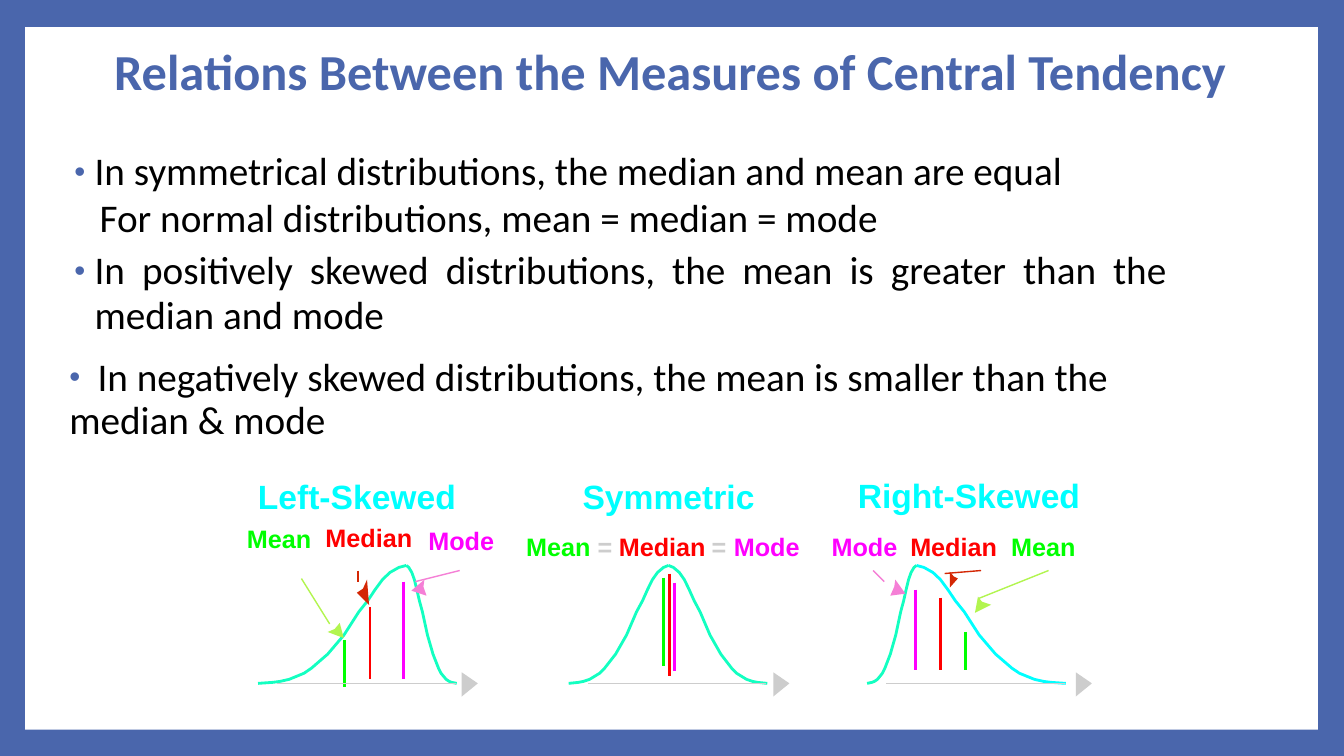
from lxml.etree import SubElement
from pptx import Presentation
from pptx.dml.color import RGBColor
from pptx.enum.shapes import MSO_CONNECTOR, MSO_SHAPE
from pptx.enum.text import MSO_ANCHOR, PP_ALIGN
from pptx.oxml.ns import qn
from pptx.util import Inches, Pt

BLUE, CYAN, TEAL, GREY = "4A66AC", "00FFFF", "13FFC1", "CDCDCD"
BAR = {"Mean": "00FF00", "Median": "FF0000", "Mode": "FF00FF", "=": GREY}
POINTER = {"Mean": "B2F54F", "Median": "D42704", "Mode": "F57FD6"}
LABEL_WIDTH = {"Mean": 0.84, "Median": 1.07, "Mode": 0.86, "=": 0.42}
CURVE_HEIGHT, BASELINE = 1.17, 2.11

# Half a bell: share of the way from foot to peak, height above the baseline
BELL = [(0, 0), (0.1, 0.01), (0.15, 0.02), (0.21, 0.04), (0.26, 0.07),
        (0.31, 0.1), (0.36, 0.15), (0.47, 0.29), (0.58, 0.48), (0.68, 0.71),
        (0.74, 0.82), (0.79, 0.93), (0.84, 1.03), (0.89, 1.1), (0.95, 1.15),
        (1, CURVE_HEIGHT)]

# Offsets are from the left foot of the curve and the top of the heading.
# labels: name, x, y; bars: name, x, top, bottom; pointers: name, line, head
PANELS = [
    dict(left=2.56, heading=("Left-Skewed", -0.1, 0, 2.18), peak=1.47,
         right_color=TEAL, axis_head=2.02,
         labels=[("Mean", -0.21, 0.47), ("Median", 0.57, 0.46), ("Mode", 1.59, 0.49)],
         bars=[("Mode", 1.44, 1.1, 2.07), ("Median", 1.11, 1.35, 2.07),
               ("Mean", 0.86, 1.68, 2.15)],
         pointers=[
             ("Mean", (0.43, 1.07, 0.71, 1.52),
              [(0.81, 1.51), (0.85, 1.66), (0.69, 1.6), (0.76, 1.57)]),
             ("Median", (0.99, 0.99, 0.99, 1.1),
              [(1.08, 1.08), (1.1, 1.33), (0.98, 1.21), (1.04, 1.17)]),
             ("Mode", (2, 0.99, 1.56, 1.1),
              [(1.67, 1.24), (1.52, 1.19), (1.65, 1.08), (1.64, 1.15)])]),
    dict(left=5.64, heading=("Symmetric", 0.04, 0, 1.92), peak=0.99,
         right_color=TEAL, axis_head=2.03,
         labels=[("Mean", -0.52, 0.55), ("=", 0.19, 0.55), ("Median", 0.4, 0.55),
                 ("=", 1.32, 0.55), ("Mode", 1.54, 0.55)],
         bars=[("Median", 1, 1.02, 2.04), ("Mean", 0.94, 1.06, 1.94),
               ("Mode", 1.05, 1.11, 1.99)],
         pointers=[]),
    dict(left=8.6, heading=("Right-Skewed", -0.19, -0.01, 2.42), peak=0.49,
         right_color=CYAN, axis_head=2.07,
         labels=[("Mode", -0.45, 0.55), ("Median", 0.33, 0.55), ("Mean", 1.33, 0.55)],
         bars=[("Mode", 0.48, 1.18, 1.98), ("Median", 0.73, 1.26, 1.98),
               ("Mean", 0.98, 1.6, 1.98)],
         pointers=[
             ("Mean", (1.8, 0.99, 1.1, 1.27),
              [(1.23, 1.33), (1.07, 1.41), (1.1, 1.25), (1.14, 1.3)]),
             ("Median", (1.13, 0.99, 0.77, 1.02),
              [(0.9, 1.07), (0.82, 1.16), (0.82, 1), (0.86, 1.05)]),
             ("Mode", (0.06, 0.99, 0.17, 1.1),
              [(0.28, 1.08), (0.38, 1.22), (0.23, 1.24), (0.27, 1.15)])]),
]


def rgb(color):
    return RGBColor.from_string(color)


def set_font(p, name, size, color, bold=False):
    for r in p.runs:
        r.font.name, r.font.size, r.font.bold = name, Pt(size), bold
        r.font.color.rgb = rgb(color)


def add_text(s, x, y, w, h, wrap=True):
    tf = s.shapes.add_textbox(Inches(x), Inches(y), Inches(w), Inches(h)).text_frame
    tf.word_wrap = wrap
    return tf


def add_label(s, text, x, y, w, h, size, color):
    p = add_text(s, x, y, w, h, wrap=False).paragraphs[0]
    p.text = text
    set_font(p, "Arial", size, color, bold=True)


def add_line(s, x1, y1, x2, y2, color, width):
    line = s.shapes.add_connector(MSO_CONNECTOR.STRAIGHT, Inches(x1), Inches(y1),
                                  Inches(x2), Inches(y2))
    line.line.color.rgb, line.line.width = rgb(color), Pt(width)
    SubElement(line._element.spPr, qn("a:effectLst"))


def add_outline(s, points, close):
    start, *rest = [(Inches(x), Inches(y)) for x, y in points]
    builder = s.shapes.build_freeform(*start)
    builder.add_line_segments(rest, close=close)
    sp = builder.convert_to_shape()
    sp.shadow.inherit = False
    return sp


def add_head(s, points, color):
    sp = add_outline(s, points, close=True)
    sp.fill.solid()
    sp.fill.fore_color.rgb = rgb(color)
    sp.line.fill.background()


def add_half_bell(s, foot, peak, baseline, color):
    sp = add_outline(s, [(foot + (peak - foot) * u, baseline - h) for u, h in BELL],
                     close=False)
    sp.fill.background()
    sp.line.color.rgb, sp.line.width = rgb(color), Pt(2)


def add_frame(s, x, y, w, h):
    """White page on a blue background."""
    s.background.fill.solid()
    s.background.fill.fore_color.rgb = rgb(BLUE)
    sp = s.shapes.add_shape(MSO_SHAPE.RECTANGLE, Inches(x), Inches(y), Inches(w), Inches(h))
    sp.shadow.inherit = False
    sp.fill.solid()
    sp.fill.fore_color.rgb = rgb("FFFFFF")
    sp.line.fill.background()


def add_title(s, x, y, w, h):
    tf = add_text(s, x, y, w, h)
    tf.vertical_anchor = MSO_ANCHOR.MIDDLE
    p = tf.paragraphs[0]
    p.text = "Relations Between the Measures of Central Tendency"
    p.alignment, p.line_spacing = PP_ALIGN.CENTER, 0.95
    set_font(p, "Calibri", 36, BLUE, bold=True)


def add_bullet(pPr):
    SubElement(SubElement(pPr, qn("a:buClr")), qn("a:srgbClr"), val=BLUE)
    SubElement(pPr, qn("a:buSzPct"), val="80000")
    SubElement(pPr, qn("a:buFont"), typeface="Arial")
    SubElement(pPr, qn("a:buChar"), char="•")


def add_body(s, x, y, w, h):
    # text, bullet, left margin, indent, line spacing, space before, space after
    rows = [
        ("In symmetrical distributions, the median and mean are equal",
         True, 0.25, -0.2, 0.95, 0, 0),
        ("For normal distributions, mean = median = mode",
         False, 0.3, 0, 0.95, 1.4, 4),
        ("In positively skewed distributions, the mean is greater than the median and mode",
         True, 0.25, -0.2, 0.95, 1.4, 0),
        ("\tIn negatively skewed distributions, the mean is smaller than the median & mode",
         True, 0, 0, 0.9, 14, 0)]
    tf = add_text(s, x, y, w, h)
    for i, (text, bullet, margin, indent, spacing, before, after) in enumerate(rows):
        p = tf.add_paragraph() if i else tf.paragraphs[0]
        p.text = text
        pPr = p._p.get_or_add_pPr()
        pPr.set("marL", str(Inches(margin)))
        pPr.set("indent", str(Inches(indent)))
        if bullet:
            add_bullet(pPr)
        if text.startswith("\t"):
            SubElement(SubElement(pPr, qn("a:tabLst")), qn("a:tab"),
                       pos=str(Inches(0.28)), algn="l")
        p.alignment = PP_ALIGN.JUSTIFY if margin else PP_ALIGN.LEFT
        p.line_spacing = spacing
        p.space_before, p.space_after = Pt(before), Pt(after)
        set_font(p, "Calibri", 28, "000000")


def add_panel(s, top, left, heading, peak, right_color, axis_head, labels, bars, pointers):
    """One distribution: heading, labels, curve, bars, pointers and axis."""
    base = top + BASELINE
    add_half_bell(s, left + 1.97, left + peak, base, right_color)
    add_half_bell(s, left, left + peak, base, TEAL)
    text, x, y, w = heading
    add_label(s, text, left + x, top + y, w, 0.5, 24, CYAN)
    for name, x, y in labels:
        add_label(s, name, left + x, top + y, LABEL_WIDTH[name], 0.4, 18, BAR[name])
    for name, x, y1, y2 in bars:
        add_line(s, left + x, top + y1, left + x, top + y2, BAR[name], 2)
    for name, (x1, y1, x2, y2), head in pointers:
        add_line(s, left + x1, top + y1, left + x2, top + y2, POINTER[name], 1)
        add_head(s, [(left + x, top + y) for x, y in head], POINTER[name])
    add_line(s, left + 0.19, base, left + 1.96, base, GREY, 1)
    x = left + axis_head
    add_head(s, [(x, base - 0.11), (x + 0.16, base), (x, base + 0.13)], GREY)


def main():
    prs = Presentation()
    prs.slide_width, prs.slide_height = Inches(13.33), Inches(7.5)
    s = prs.slides.add_slide(prs.slide_layouts[6])
    add_frame(s, 0.25, 0.27, 12.82, 6.97)
    add_title(s, 0.42, 0.1, 12.46, 1.25)
    add_body(s, 0.59, 1.44, 11.08, 2.17)
    for panel in PANELS:
        add_panel(s, 4.67, **panel)
    prs.save("out.pptx")


if __name__ == "__main__":
    main()
